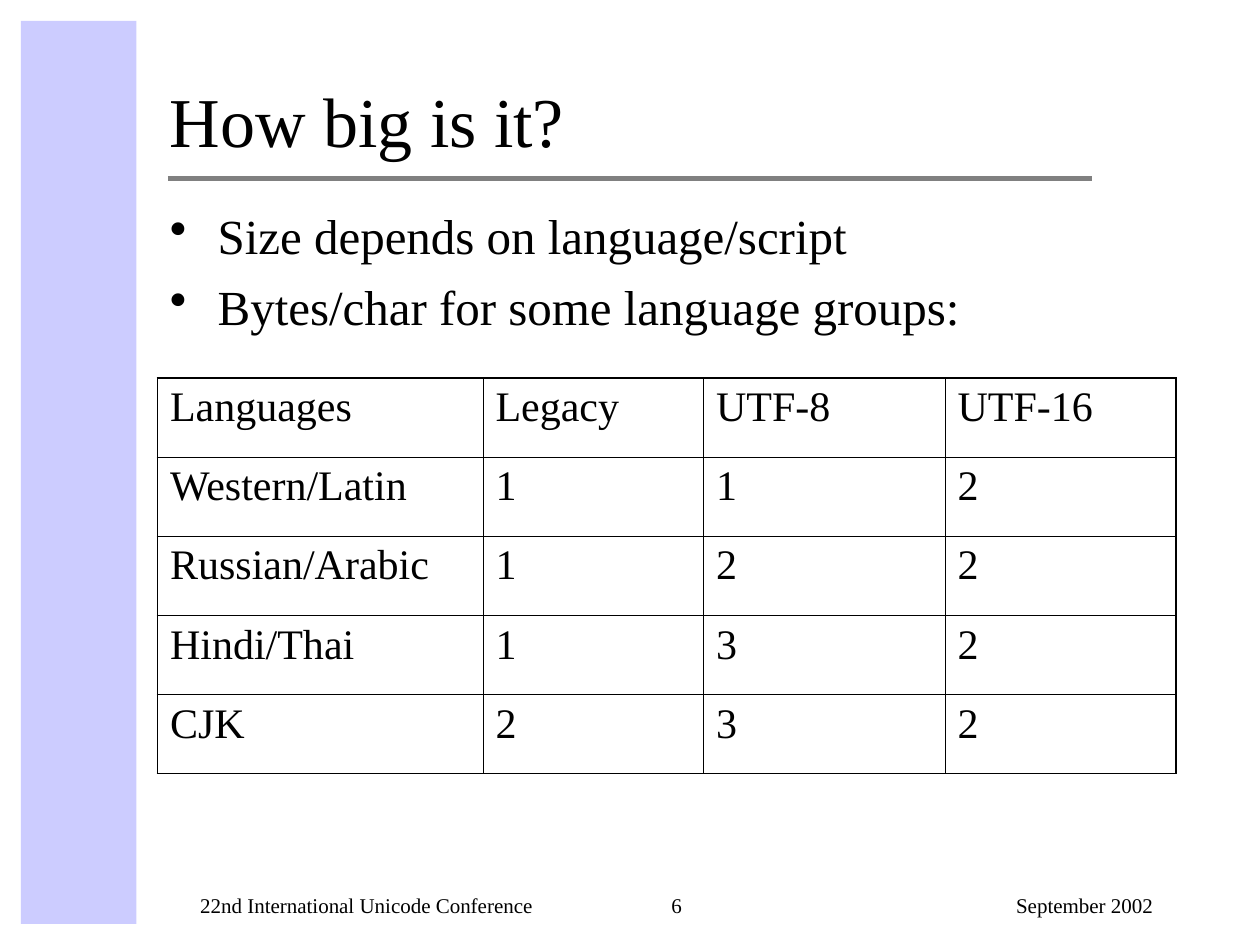
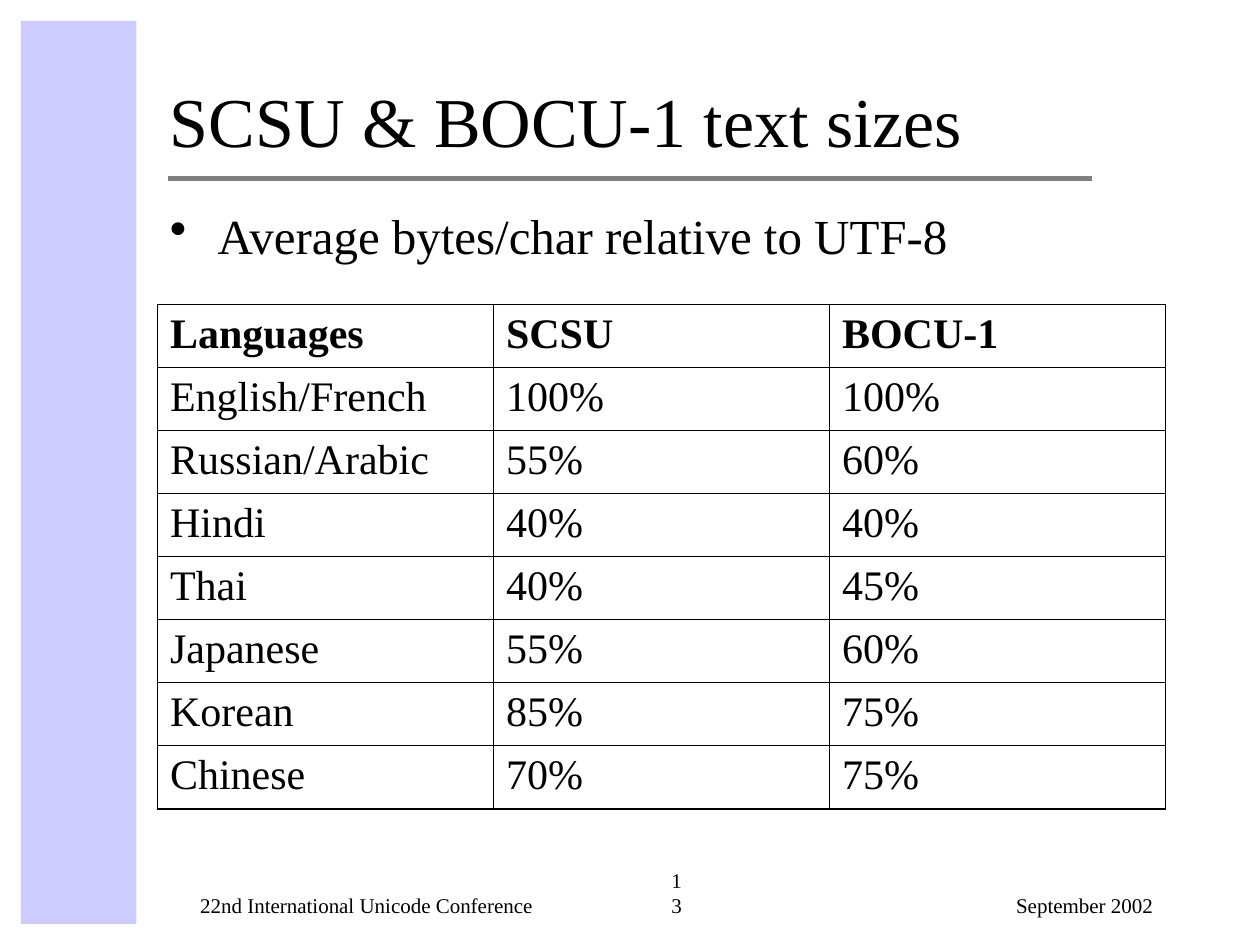
from pptx import Presentation
from pptx import util as u
from pptx.dml.color import RGBColor
from pptx.enum import shapes, text
from pptx.oxml import ns, xmlchemy

BLACK = RGBColor(0x00, 0x00, 0x00)
GREY = RGBColor(0x80, 0x80, 0x80)
LAVENDER = RGBColor(0xCC, 0xCC, 0xFF)
FONT = "Times New Roman"

SLIDE_WIDTH, SLIDE_HEIGHT = u.Inches(10), u.Inches(7.5)
COLUMNS, ROWS = 120, 90
LEFT = 15
OUTER_BORDER, INNER_BORDER = 1.08, 0.45

CONFERENCE = "22nd International Unicode Conference"
DATE = "September 2002"

BYTES_PER_CHAR = [
    ("Languages", "Legacy", "UTF-8", "UTF-16"),
    ("Western/Latin", "1", "1", "2"),
    ("Russian/Arabic", "1", "2", "2"),
    ("Hindi/Thai", "1", "3", "2"),
    ("CJK", "2", "3", "2"),
]
RELATIVE_SIZES = [
    ("Languages", "SCSU", "BOCU-1"),
    ("English/French", "100%", "100%"),
    ("Russian/Arabic", "55%", "60%"),
    ("Hindi", "40%", "40%"),
    ("Thai", "40%", "45%"),
    ("Japanese", "55%", "60%"),
    ("Korean", "85%", "75%"),
    ("Chinese", "70%", "75%"),
]


def across(columns):
    return round(SLIDE_WIDTH * columns / COLUMNS)


def down(rows):
    return round(SLIDE_HEIGHT * rows / ROWS)


def area(left, top, width, height):
    return across(left), down(top), across(width), down(height)


def write(paragraph, words, size, bold=False):
    run = paragraph.add_run()
    run.text = words
    run.font.name = FONT
    run.font.size = u.Pt(size)
    run.font.bold = bold
    run.font.color.rgb = BLACK


def add_frame(slide, place, anchor):
    frame = slide.shapes.add_textbox(*area(*place)).text_frame
    frame.word_wrap = True
    frame.vertical_anchor = anchor
    return frame


def add_band(slide):
    band = slide.shapes.add_shape(shapes.MSO_SHAPE.RECTANGLE, *area(2, 2, 11, 86))
    band.shadow.inherit = False
    band.fill.solid()
    band.fill.fore_color.rgb = LAVENDER
    band.line.fill.background()


def add_title_rule(slide):
    rule = slide.shapes.add_connector(
        shapes.MSO_CONNECTOR.STRAIGHT, across(16), down(17), across(104), down(17))
    rule.line.color.rgb = GREY
    rule.line.width = u.Pt(3)
    rule._element.spPr.append(xmlchemy.OxmlElement("a:effectLst"))


def add_title(slide, title):
    frame = add_frame(slide, (LEFT, 2, 89, 14), text.MSO_ANCHOR.BOTTOM)
    write(frame.paragraphs[0], title, 40)


def add_bullets(slide, points):
    frame = add_frame(slide, (LEFT, 19, 96, 61), text.MSO_ANCHOR.TOP)
    for index, point in enumerate(points):
        paragraph = frame.add_paragraph() if index else frame.paragraphs[0]
        properties = paragraph._p.get_or_add_pPr()
        properties.set("marL", str(u.Inches(0.38)))
        properties.set("indent", str(-u.Inches(0.38)))
        bullet = xmlchemy.OxmlElement("a:buChar")
        bullet.set("char", "•")
        properties.append(bullet)
        if index:
            paragraph.space_before = u.Pt(7)
        write(paragraph, point, 28)


def add_footer(slide, number):
    footers = [
        (CONFERENCE, LEFT, 44, text.PP_ALIGN.LEFT),
        (number, 60, 6, text.PP_ALIGN.CENTER),
        (DATE, 67, 44, text.PP_ALIGN.RIGHT),
    ]
    for words, left, width, alignment in footers:
        frame = add_frame(slide, (left, 82, width, 6), text.MSO_ANCHOR.BOTTOM)
        paragraph = frame.paragraphs[0]
        paragraph.alignment = alignment
        paragraph._p.get_or_add_pPr().set("marL", str(u.Inches(0.24)))
        write(paragraph, words, 12)


def set_borders(cell, outer_sides):
    properties = cell._tc.get_or_add_tcPr()
    for side, is_outer in zip("LRTB", outer_sides):
        border = xmlchemy.OxmlElement(f"a:ln{side}")
        border.set("w", str(u.Pt(OUTER_BORDER if is_outer else INNER_BORDER)))
        fill = xmlchemy.OxmlElement("a:solidFill")
        color = xmlchemy.OxmlElement("a:srgbClr")
        color.set("val", str(BLACK))
        fill.append(color)
        border.append(fill)
        properties.append(border)


def add_size_table(slide, records, top, widths, row_height, bold_header=False):
    place = area(LEFT, top, sum(widths), row_height * len(records))
    table = slide.shapes.add_table(len(records), len(widths), *place).table
    table.first_row = bold_header
    table.horz_banding = False
    for column, width in zip(table.columns, widths):
        column.width = across(width)
    last_row, last_column = len(records) - 1, len(widths) - 1
    for r, record in enumerate(records):
        table.rows[r].height = down(row_height)
        for c, value in enumerate(record):
            cell = table.cell(r, c)
            set_borders(cell, (c == 0, c == last_column, r == 0, r == last_row))
            cell.fill.background()
            write(cell.text_frame.paragraphs[0], value, 24, bold_header and r == 0)


def add_content_slide(deck, title, points, number):
    slide = deck.slides.add_slide(deck.slide_layouts[6])
    add_band(slide)
    add_title_rule(slide)
    add_title(slide, title)
    add_bullets(slide, points)
    add_footer(slide, number)
    return slide


def main():
    deck = Presentation()
    deck.slide_width, deck.slide_height = SLIDE_WIDTH, SLIDE_HEIGHT

    how_big = add_content_slide(
        deck, "How big is it?",
        ["Size depends on language/script", "Bytes/char for some language groups:"], "6")
    add_size_table(how_big, BYTES_PER_CHAR, 36, (31, 21, 23, 22), 7.54)

    compressed = add_content_slide(
        deck, "SCSU & BOCU-1 text sizes", ["Average bytes/char relative to UTF-8"], "13")
    add_size_table(compressed, RELATIVE_SIZES, 29, (32, 32, 32), 5.99, bold_header=True)

    deck.save("out.pptx")


if __name__ == "__main__":
    main()
